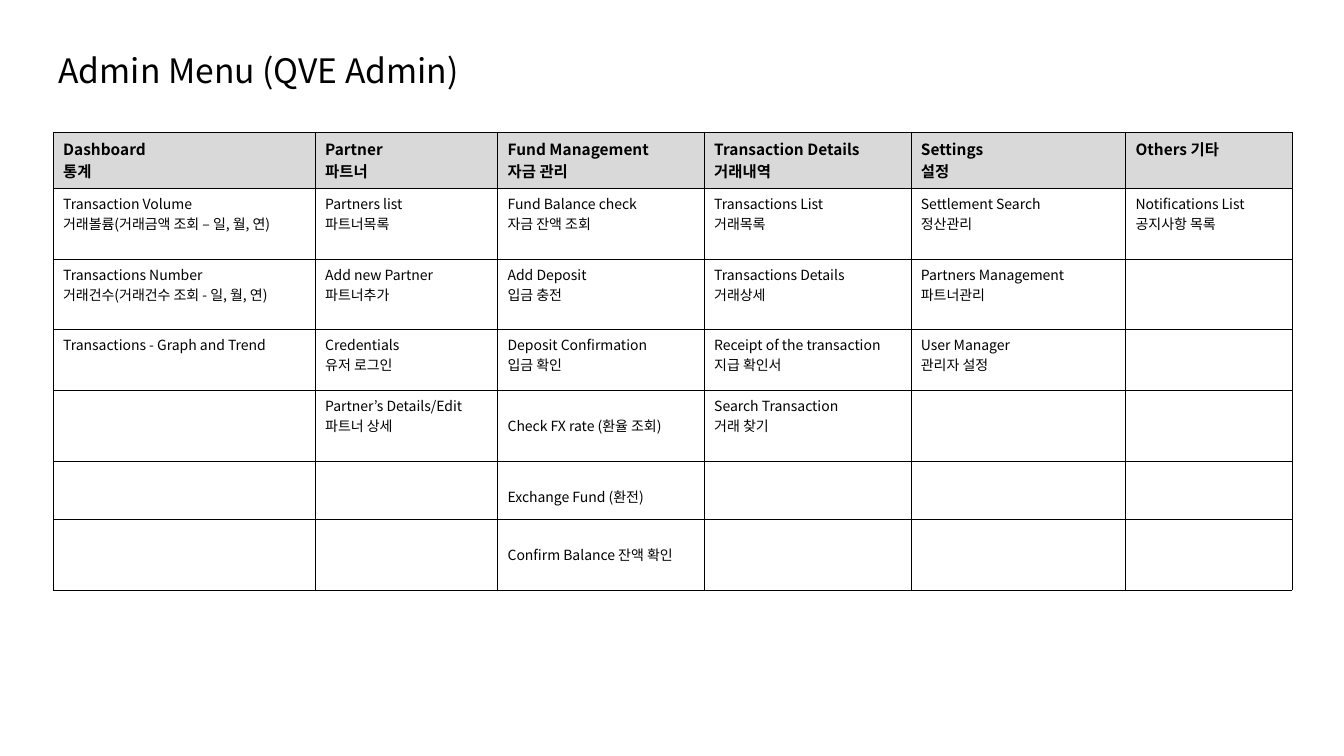
from lxml import etree
from pptx import Presentation
from pptx.dml.color import RGBColor
from pptx.enum.text import MSO_ANCHOR, MSO_AUTO_SIZE, PP_ALIGN
from pptx.oxml.ns import qn
from pptx.util import Pt

TOP, MIDDLE = MSO_ANCHOR.TOP, MSO_ANCHOR.MIDDLE
LEFT = PP_ALIGN.LEFT
FIT_SHAPE = MSO_AUTO_SIZE.SHAPE_TO_FIT_TEXT

FONT = "Noto Sans CJK KR"
COLORS = {"ink": "000000", "header": "D9D9D9", "body": "FFFFFF"}
TITLE_ONLY = 5

COLUMN_WIDTHS = [187.2, 130.3, 147.6, 147.6, 153.4, 118.8]
ROW_HEIGHTS = [40, 50.7, 50, 43.6, 50.7, 41.4, 50.7]
LOWERED_MARGIN = 18  # top margin of the fund entries set one line lower
LOWERED_FROM_ROW = 4
FUND_COLUMN = 2

# One list per menu column, header first
MENU = [
    ["Dashboard\n통계",
     "Transaction Volume\n거래볼륨(거래금액 조회 – 일, 월, 연)",
     "Transactions Number\n거래건수(거래건수 조회 - 일, 월, 연)",
     "Transactions - Graph and Trend"],
    ["Partner\n파트너",
     "Partners list\n파트너목록",
     "Add new Partner\n파트너추가",
     "Credentials\n유저 로그인",
     "Partner’s Details/Edit\n파트너 상세"],
    ["Fund Management\n자금 관리",
     "Fund Balance check\n자금 잔액 조회",
     "Add Deposit\n입금 충전",
     "Deposit Confirmation\n입금 확인",
     "Check FX rate (환율 조회)",
     "Exchange Fund (환전)",
     "Confirm Balance 잔액 확인"],
    ["Transaction Details\n거래내역",
     "Transactions List\n거래목록",
     "Transactions Details\n거래상세",
     "Receipt of the transaction\n지급 확인서",
     "Search Transaction\n거래 찾기"],
    ["Settings\n설정",
     "Settlement Search\n정산관리",
     "Partners Management\n파트너관리",
     "User Manager\n관리자 설정"],
    ["Others 기타",
     "Notifications List\n공지사항 목록"],
]


def style_text(frame, size, bold=False):
    for paragraph in frame.paragraphs:
        paragraph.alignment = LEFT
        font = paragraph.font
        font.name, font.size, font.bold = FONT, Pt(size), bold
        font.color.rgb = RGBColor.from_string(COLORS["ink"])
        # Korean text takes its typeface from the East Asian slot
        defaults = paragraph._p.pPr.find(qn("a:defRPr"))
        etree.SubElement(defaults, qn("a:ea"), typeface=FONT)


def add_borders(cell):
    properties = cell._tc.get_or_add_tcPr()
    for side in ("lnL", "lnR", "lnT", "lnB"):
        line = etree.SubElement(properties, qn(f"a:{side}"), w=str(Pt(0.25)))
        fill = etree.SubElement(line, qn("a:solidFill"))
        etree.SubElement(fill, qn("a:srgbClr"), val=COLORS["ink"])


def fill_cell(cell, text, is_header):
    add_borders(cell)
    cell.fill.solid()
    cell.fill.fore_color.rgb = RGBColor.from_string(
        COLORS["header" if is_header else "body"])
    cell.vertical_anchor = TOP
    cell.text_frame.text = text
    style_text(cell.text_frame, 11 if is_header else 10, is_header)


def add_title(slide, text):
    title = slide.shapes.title
    title.left, title.top = Pt(34.6), Pt(31.7)
    title.width, title.height = Pt(313.9), Pt(36)
    frame = title.text_frame
    frame.text = text
    frame.word_wrap = False
    frame.auto_size = FIT_SHAPE
    frame.vertical_anchor = MIDDLE
    style_text(frame, 24)


def add_menu_table(slide):
    table = slide.shapes.add_table(
        len(ROW_HEIGHTS), len(COLUMN_WIDTHS), Pt(37.9), Pt(94.3),
        Pt(sum(COLUMN_WIDTHS)), Pt(sum(ROW_HEIGHTS))).table
    table.first_row = table.horz_banding = False
    for column, width in zip(table.columns, COLUMN_WIDTHS):
        column.width = Pt(width)
    for row, height in zip(table.rows, ROW_HEIGHTS):
        row.height = Pt(height)

    for column, entries in enumerate(MENU):
        for row in range(len(ROW_HEIGHTS)):
            text = entries[row] if row < len(entries) else ""
            fill_cell(table.cell(row, column), text, row == 0)
    for row in range(LOWERED_FROM_ROW, len(ROW_HEIGHTS)):
        table.cell(row, FUND_COLUMN).margin_top = Pt(LOWERED_MARGIN)


def main():
    deck = Presentation()
    deck.slide_width, deck.slide_height = Pt(960), Pt(540)
    slide = deck.slides.add_slide(deck.slide_layouts[TITLE_ONLY])
    add_menu_table(slide)
    add_title(slide, "Admin Menu (QVE Admin)")
    deck.save("out.pptx")


if __name__ == "__main__":
    main()
